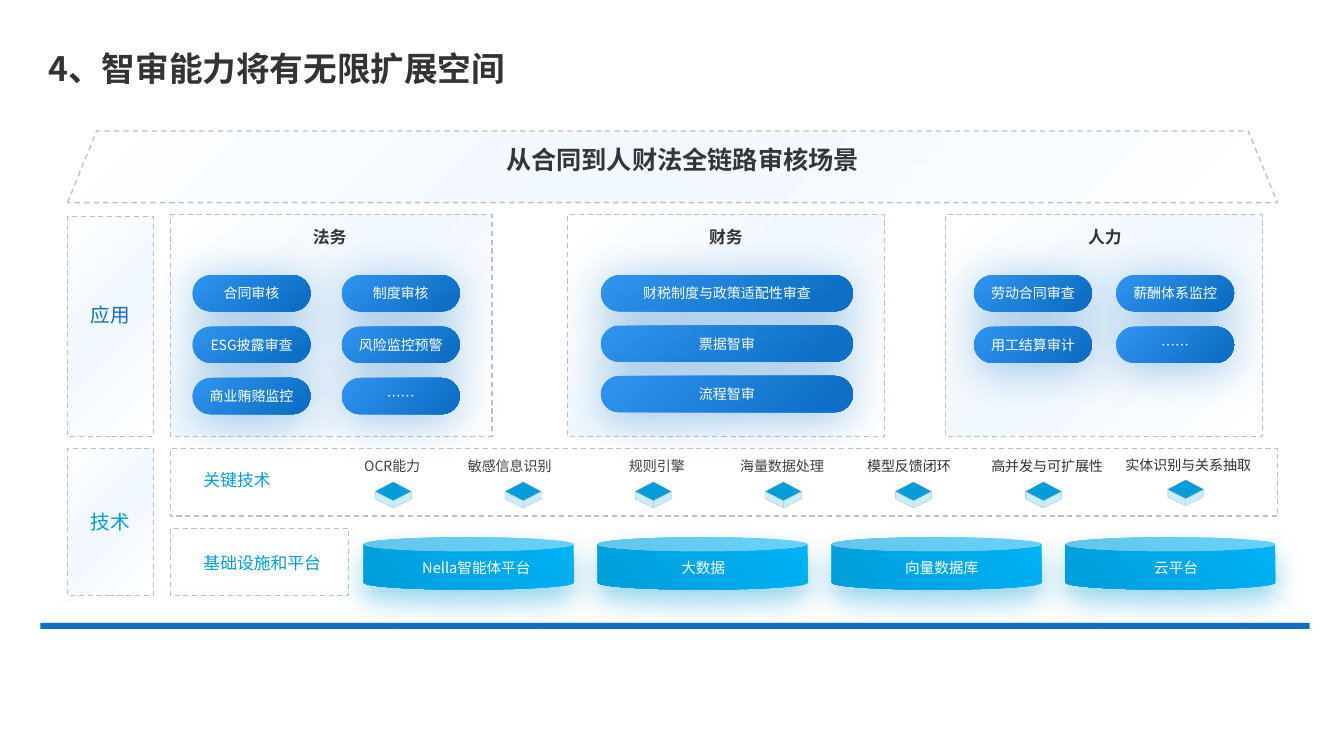
import pptx
import pptx.dml.color
import pptx.enum.dml
import pptx.enum.shapes
import pptx.enum.text
import pptx.oxml
import pptx.oxml.ns
import pptx.util

Inches = pptx.util.Inches
Shape = pptx.enum.shapes.MSO_SHAPE
Align = pptx.enum.text.PP_ALIGN
Anchor = pptx.enum.text.MSO_ANCHOR

COLORS = {
    "blue": "0F6FC6", "light_blue": "3094EF", "cyan": "009DD9", "bright_cyan": "00B2F6",
    "pale_cyan": "C4EFFF", "mist": "F1F8FE", "white": "FFFFFF", "gray": "BFBFBF",
    "ink": "333333", "heading": "333639", "label": "404040",
}
NAMESPACE = pptx.oxml.ns.nsdecls("a")
PANEL_FILL = ([(0, "white"), (46, "mist"), (100, "white")], {"r": 100, "b": 100})
BUTTON_FILL = ([(11, "blue"), (100, "light_blue")], {"l": 100, "t": 100})
CAN_FILL = ([(0, "cyan"), (100, "bright_cyan")], {"t": 100, "r": 100})


class SlideBuilder:
    """Hold the style and the current page, and draw each kind of element."""

    def __init__(self, page, font="Noto Sans CJK SC"):
        self.page = page
        self.font = font

    def rgb(self, color):
        return pptx.dml.color.RGBColor.from_string(COLORS[color])

    def fill_text(self, frame, text, size, color, bold=False, align=Align.CENTER):
        frame.word_wrap = True
        para = frame.paragraphs[0]
        para.text = text
        para.alignment = align
        para.font.size = pptx.util.Pt(size)
        para.font.bold = bold
        para.font.color.rgb = self.rgb(color)
        para.font.name = self.font
        defaults = para._p.pPr.find(pptx.oxml.ns.qn("a:defRPr"))
        defaults.append(pptx.oxml.parse_xml(f'<a:ea {NAMESPACE} typeface="{self.font}"/>'))
        return para

    def title(self, text, left, top, width, height):
        box = self.page.shapes.title
        box.left, box.top, box.width, box.height = map(Inches, (left, top, width, height))
        box.text_frame.vertical_anchor = Anchor.MIDDLE
        self.fill_text(box.text_frame, text, 24, "ink", True, Align.LEFT).line_spacing = 0.9

    def text(self, text, left, top, width, height, size, color, bold=False, align=Align.CENTER):
        box = self.page.shapes.add_textbox(*map(Inches, (left, top, width, height)))
        self.fill_text(box.text_frame, text, size, color, bold, align)

    def outline(self, line, color, width, dashed=False, opacity=100):
        line.color.rgb = self.rgb(color)
        line.width = pptx.util.Pt(width)
        if dashed:
            line.dash_style = pptx.enum.dml.MSO_LINE.DASH
        if opacity < 100:
            tint = line._get_or_add_ln().find(".//" + pptx.oxml.ns.qn("a:srgbClr"))
            tint.append(pptx.oxml.parse_xml(f'<a:alpha {NAMESPACE} val="{opacity * 1000}"/>'))

    def paint(self, shape, fill=None, line=None):
        shape.shadow.inherit = False
        if isinstance(fill, str):
            shape.fill.solid()
            shape.fill.fore_color.rgb = self.rgb(fill)
        else:
            shape.fill.background()
        if isinstance(fill, tuple):
            self.gradient(shape, *fill)
        if line:
            self.outline(shape.line, *line)
        else:
            shape.line.fill.background()

    def gradient(self, shape, stops, focus):
        stop_xml = "".join(
            f'<a:gs pos="{place * 1000}"><a:srgbClr val="{COLORS[color]}"/></a:gs>'
            for place, color in stops)
        edges = " ".join(f'{side}="{share * 1000}"' for side, share in focus.items())
        properties = shape._element.spPr
        properties.replace(properties.find(pptx.oxml.ns.qn("a:noFill")), pptx.oxml.parse_xml(
            f'<a:gradFill {NAMESPACE} rotWithShape="1"><a:gsLst>{stop_xml}</a:gsLst>'
            f'<a:path path="circle"><a:fillToRect {edges}/></a:path></a:gradFill>'))

    def shadow(self, shape, color, blur, distance):
        effects = shape._element.spPr.find(pptx.oxml.ns.qn("a:effectLst"))
        effects.append(pptx.oxml.parse_xml(
            f'<a:outerShdw {NAMESPACE} blurRad="{pptx.util.Pt(blur)}" '
            f'dist="{pptx.util.Pt(distance)}" dir="5400000" algn="t" rotWithShape="0">'
            f'<a:srgbClr val="{COLORS[color]}"><a:alpha val="40000"/></a:srgbClr></a:outerShdw>'))

    def shape(self, kind, left, top, width, height, fill=None, line=None, adjust=None, host=None):
        shapes = (host or self.page).shapes
        shape = shapes.add_shape(kind, *map(Inches, (left, top, width, height)))
        if adjust is not None:
            shape.adjustments[0] = adjust
        self.paint(shape, fill, line)
        return shape

    def panel(self, left, top, width, height, fill=PANEL_FILL):
        return self.shape(Shape.RECTANGLE, left, top, width, height, fill, ("gray", 0.9, True))

    def layer(self, text, top, height, color, lift=0):
        frame = self.panel(0.67, top, 0.85, height).text_frame
        frame.vertical_anchor = Anchor.MIDDLE
        frame.margin_bottom = Inches(0.05 + lift)
        self.fill_text(frame, text, 14, color)

    def button(self, text, left, top, width):
        button = self.shape(Shape.ROUNDED_RECTANGLE, left, top, width, 0.36, BUTTON_FILL, adjust=0.5)
        self.shadow(button, "blue", 32.4, 4)
        button.text_frame.vertical_anchor = Anchor.MIDDLE
        self.fill_text(button.text_frame, text, 10, "white")

    def side_lines(self, center, y, outer, inner):
        for side in (-1, 1):
            ends = (center + side * outer, y, center + side * inner, y)
            line = self.page.shapes.add_connector(
                pptx.enum.shapes.MSO_CONNECTOR.STRAIGHT, *map(Inches, ends))
            self.outline(line.line, "blue", 0.5, opacity=4)
            line._element.spPr.append(pptx.oxml.parse_xml(f"<a:effectLst {NAMESPACE}/>"))

    def can(self, left):
        can = self.shape(Shape.CAN, left, 5.33, 2.08, 0.52, CAN_FILL, adjust=0.266)
        self.shadow(can, "cyan", 20, 9.7)

    def cube(self, left, top):
        cube = self.page.shapes.add_group_shape()
        edge = ("gray", 0.25)
        self.shape(Shape.DIAMOND, left, top, 0.36, 0.19, "cyan", edge, host=cube)
        middle = left + 0.18
        for side in (left, left + 0.36):
            points = [(side, top + 0.1), (side, top + 0.17),
                      (middle, top + 0.26), (middle, top + 0.19)]
            corners = [(Inches(x), Inches(y)) for x, y in points]
            outline = cube.shapes.build_freeform(*corners[0])
            outline.add_line_segments(corners[1:], close=True)
            self.paint(outline.convert_to_shape(), "pale_cyan", edge)


def main():
    deck = pptx.Presentation()
    deck.slide_width, deck.slide_height = Inches(13.33), Inches(7.5)
    builder = SlideBuilder(deck.slides.add_slide(deck.slide_layouts[5]))
    builder.title("4、智审能力将有无限扩展空间", 0.38, 0.4, 12.04, 0.6)

    floor = builder.shape(Shape.TRAPEZOID, 0.4, 5.87, 12.59, 0.31,
                          line=("blue", 1, False, 4), adjust=1.194)
    builder.shadow(floor, "blue", 32.4, 9.7)
    builder.shape(Shape.RECTANGLE, 0.4, 6.18, 12.59, 0.06, "blue")

    builder.shape(Shape.TRAPEZOID, 0.67, 1.3, 12, 0.71, PANEL_FILL, ("gray", 0.95, True), 0.407)
    builder.text("从合同到人财法全链路审核场景", 1.67, 1.38, 10.2, 0.4, 18, "heading", True)
    builder.side_lines(6.78, 1.59, 3.27, 1.85)

    builder.layer("应用", 2.15, 2.18, "blue", lift=0.24)
    builder.layer("技术", 4.45, 1.46, "cyan")

    departments = [
        ("法务", 1.69, 3.19, 3.27, (1.91, 3.39), 1.17, 0.51,
         ["合同审核", "制度审核", "ESG披露审查", "风险监控预警", "商业贿赂监控", "……"]),
        ("财务", 5.63, 3.14, 7.2, (5.96,), 2.5, 0.5,
         ["财税制度与政策适配性审查", "票据智审", "流程智审"]),
        ("人力", 9.38, 3.14, 10.96, (9.66, 11.07), 1.17, 0.51,
         ["劳动合同审查", "薪酬体系监控", "用工结算审计", "……"]),
    ]
    for name, left, width, center, columns, button_width, pitch, tasks in departments:
        builder.panel(left, 2.13, width, 2.2)
        builder.text(name, center - 0.3, 2.2, 0.6, 0.3, 12, "ink", True)
        builder.side_lines(center - 0.03, 2.35, 1.29, 0.28)
        for index, task in enumerate(tasks):
            row, column = divmod(index, len(columns))
            builder.button(task, columns[column], 2.73 + row * pitch, button_width)

    builder.panel(1.69, 4.45, 10.98, 0.67, None)
    builder.text("关键技术", 1.92, 4.61, 0.9, 0.3, 12, "cyan", align=Align.LEFT)
    technologies = [
        ("OCR能力", 3.37, 1.04, "label"), ("敏感信息识别", 4.5, 1.11, "label"),
        ("规则引擎", 6.03, 0.97, "label"), ("海量数据处理", 7.2, 1.11, "label"),
        ("模型反馈闭环", 8.46, 1.11, "ink"), ("高并发与可扩展性", 9.65, 1.47, "ink"),
    ]
    for index, (name, left, width, color) in enumerate(technologies):
        builder.cube(3.72 + index * 1.29, 4.78)
        builder.text(name, left, 4.49, width, 0.27, 10, color)
    builder.cube(11.58, 4.76)
    builder.text("实体识别与关系抽取", 11.05, 4.48, 1.47, 0.27, 10, "ink")

    builder.panel(1.69, 5.24, 1.77, 0.67, None)
    builder.text("基础设施和平台", 1.92, 5.43, 1.43, 0.3, 12, "cyan", align=Align.LEFT)
    platforms = [("Nella智能体平台", 3.98, 1.49), ("大数据", 6.58, 0.79),
                 ("向量数据库", 8.87, 0.94), ("云平台", 11.26, 0.81)]
    for index, (name, left, width) in enumerate(platforms):
        builder.can(3.61 + index * 2.32)
        builder.text(name, left, 5.49, width, 0.28, 10.5, "white")

    deck.save("out.pptx")


if __name__ == "__main__":
    main()
